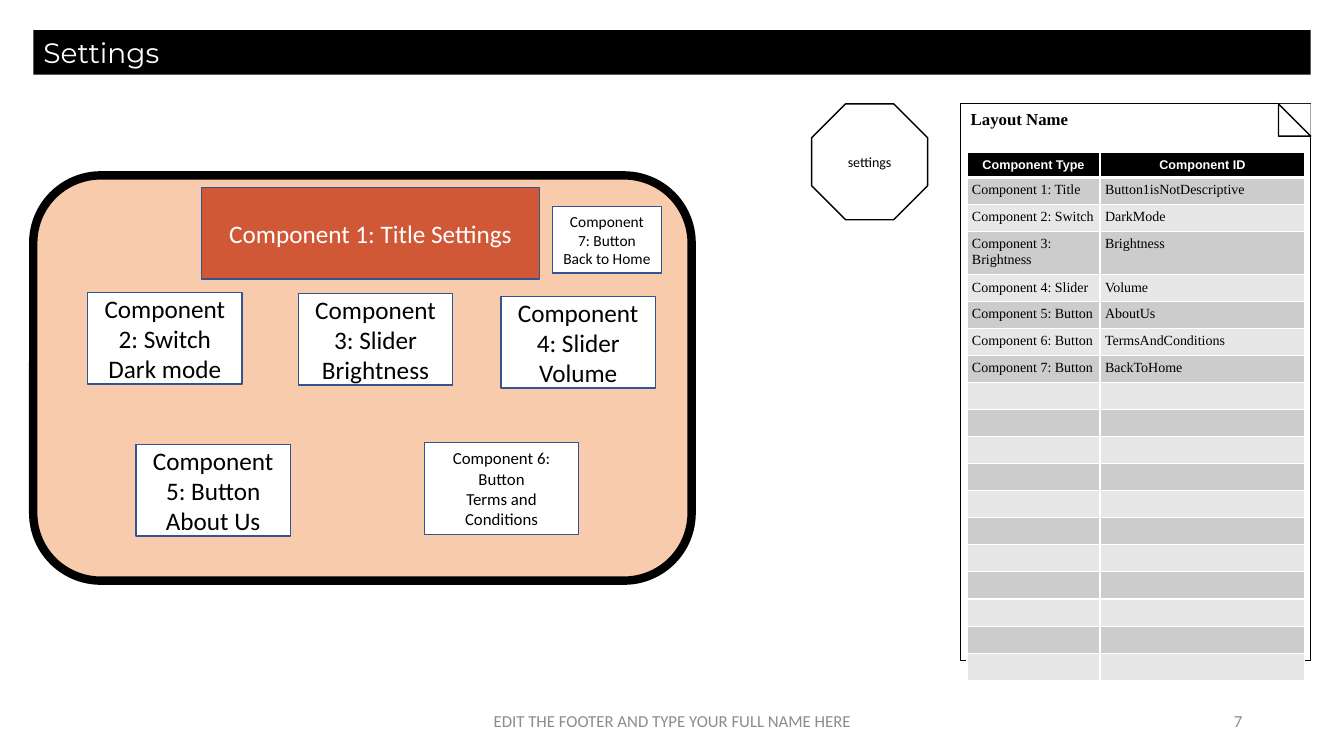
from lxml import etree
from pptx import Presentation
from pptx.dml.color import RGBColor
from pptx.enum.shapes import MSO_SHAPE
from pptx.enum.text import MSO_ANCHOR, MSO_AUTO_SIZE, PP_ALIGN
from pptx.oxml.ns import qn
from pptx.util import Inches, Pt

RECTANGLE = MSO_SHAPE.RECTANGLE
ROUNDED = MSO_SHAPE.ROUNDED_RECTANGLE
OCTAGON = MSO_SHAPE.OCTAGON
FOLD = MSO_SHAPE.RIGHT_TRIANGLE
LEFT, CENTER, RIGHT = PP_ALIGN.LEFT, PP_ALIGN.CENTER, PP_ALIGN.RIGHT
TOP, MIDDLE = MSO_ANCHOR.TOP, MSO_ANCHOR.MIDDLE
NO_AUTOFIT = MSO_AUTO_SIZE.NONE

BLACK = RGBColor(0, 0, 0)
WHITE = RGBColor(255, 255, 255)
GRAY = RGBColor(0x8C, 0x8C, 0x8C)
PEACH = RGBColor(0xF8, 0xCB, 0xAD)
ORANGE = RGBColor(0xD1, 0x58, 0x37)
NAVY = RGBColor(0x32, 0x54, 0x91)
DARK_BAND = RGBColor(0xCC, 0xCC, 0xCC)
LIGHT_BAND = RGBColor(0xE7, 0xE7, 0xE7)

BUTTON_SIZE = (1.53, 0.91)
CONTROLS = [
    ((1.67, 0.12, 3.35, 0.91), ["Component 1: Title Settings"], 18, ORANGE, WHITE),
    ((0.54, 1.16, *BUTTON_SIZE), ["Component 2: Switch\vDark mode"], 18, WHITE, BLACK),
    ((2.63, 1.17, *BUTTON_SIZE), ["Component 3: Slider\vBrightness"], 18, WHITE, BLACK),
    ((4.64, 1.2, *BUTTON_SIZE), ["Component 4: Slider\vVolume"], 18, WHITE, BLACK),
    ((1.02, 2.67, *BUTTON_SIZE), ["Component 5: Button\vAbout Us"], 18, WHITE, BLACK),
    ((3.88, 2.65, *BUTTON_SIZE), ["Component 6: Button", "Terms and\vConditions"], 12, WHITE, BLACK),
    ((5.15, 0.31, 1.08, 0.66), ["Component 7: Button\vBack to Home"], 11, WHITE, BLACK),
]
HEADER = ("Component Type", "Component ID")
COMPONENTS = [
    ("Component 1: Title", "Button1isNotDescriptive"),
    ("Component 2: Switch", "DarkMode"),
    ("Component 3: Brightness", "Brightness"),
    ("Component 4: Slider", "Volume"),
    ("Component 5: Button", "AboutUs"),
    ("Component 6: Button", "TermsAndConditions"),
    ("Component 7: Button", "BackToHome"),
]
EMPTY_ROWS = 11
TALL_ROW = 3


def write(frame, lines, size, color, font="Calibri", align=CENTER, bold=False):
    frame.text = "\n".join(lines)
    for paragraph in frame.paragraphs:
        paragraph.alignment = align
        for run in paragraph.runs:
            run.font.color.rgb = color
            formats = {"name": font, "size": Pt(size), "bold": bold}
            for key, value in formats.items():
                setattr(run.font, key, value)


def set_frame(frame, anchor=MIDDLE, wrap=True):
    formats = {"vertical_anchor": anchor, "word_wrap": wrap, "auto_size": NO_AUTOFIT}
    for key, value in formats.items():
        setattr(frame, key, value)


def add_box(slide, kind, box, fill=None, line=None, width=1):
    shape = slide.shapes.add_shape(kind, *map(Inches, box))
    shape.shadow.inherit = False
    if fill is None:
        shape.fill.background()
    else:
        shape.fill.solid()
        shape.fill.fore_color.rgb = fill
    if line is None:
        shape.line.fill.background()
    else:
        shape.line.color.rgb = line
        shape.line.width = Pt(width)
    set_frame(shape.text_frame)
    return shape


def add_title(slide, box):
    title = slide.shapes.title
    for key, value in zip(("left", "top", "width", "height"), box):
        setattr(title, key, Inches(value))
    title.fill.solid()
    title.fill.fore_color.rgb = BLACK
    set_frame(title.text_frame, TOP)
    write(title.text_frame, ["Settings"], 20, WHITE, "Montserrat", LEFT)
    title.text_frame.paragraphs[0].line_spacing = 1.0


def add_screen(slide, box):
    left, top = box[:2]
    add_box(slide, ROUNDED, box, PEACH, BLACK, 6)
    for (x, y, width, height), lines, size, fill, color in CONTROLS:
        control = add_box(slide, RECTANGLE, (left + x, top + y, width, height), fill, NAVY)
        write(control.text_frame, lines, size, color)


def set_borders(cell, bottom):
    properties = cell._tc.get_or_add_tcPr()
    sides = {"a:lnL": 1, "a:lnR": 1, "a:lnT": 1, "a:lnB": bottom}
    for index, (side, width) in enumerate(sides.items()):
        border = etree.Element(qn(side), w=str(Pt(width)))
        fill = etree.SubElement(border, qn("a:solidFill"))
        etree.SubElement(fill, qn("a:srgbClr"), val=str(WHITE))
        properties.insert(index, border)


def fill_cell(cell, text, row):
    header = row == 0
    cell.fill.solid()
    cell.fill.fore_color.rgb = BLACK if header else DARK_BAND if row % 2 else LIGHT_BAND
    cell.vertical_anchor = MIDDLE if header else TOP
    for side in ("left", "right", "top", "bottom"):
        setattr(cell, f"margin_{side}", Inches(0.05))
    if header:
        write(cell.text_frame, [text], 9, WHITE, "Arial", bold=True)
    elif text:
        write(cell.text_frame, [text], 10, BLACK, "Times New Roman", LEFT)
    else:
        paragraph = cell.text_frame.paragraphs[0]
        etree.SubElement(paragraph._p, qn("a:endParaRPr"), sz="1000")
    set_borders(cell, 3 if header else 1)


def add_component_table(slide, box):
    rows = [HEADER, *COMPONENTS, *[("", "")] * EMPTY_ROWS]
    table = slide.shapes.add_table(len(rows), 2, *map(Inches, box)).table
    table.columns[0].width = Inches(1.32)
    table.columns[1].width = Inches(box[2] - 1.32)
    special = {0: 0.25, TALL_ROW: 0.43}
    regular = (box[3] - sum(special.values())) / (len(rows) - len(special))
    for row, texts in enumerate(rows):
        table.rows[row].height = Inches(special.get(row, regular))
        for column, text in enumerate(texts):
            fill_cell(table.cell(row, column), text, row)


def add_layout_sheet(slide, box):
    left, top, width, height = box
    sheet = add_box(slide, RECTANGLE, box, line=BLACK, width=0.75)
    set_frame(sheet.text_frame, TOP, False)
    write(sheet.text_frame, ["Layout Name"], 12, BLACK, "Times New Roman", LEFT, True)
    fold = 0.32
    corner = (left + width - fold, top, fold, fold)
    add_box(slide, RECTANGLE, corner, WHITE)
    add_box(slide, FOLD, corner, WHITE, BLACK)
    add_component_table(slide, (left + 0.06, top + 0.48, 3.35, 5.22))


def add_state(slide, box):
    state = add_box(slide, OCTAGON, box, line=BLACK)
    write(state.text_frame, ["settings"], 10, BLACK)


def add_footer(slide, box):
    left, top, width, height = box
    parts = [
        (left, 4.5, "EDIT THE FOOTER AND TYPE YOUR FULL NAME HERE", CENTER),
        (left + width - 3, 3, "7", RIGHT),
    ]
    for x, part_width, text, align in parts:
        part = slide.shapes.add_textbox(*map(Inches, (x, top, part_width, height)))
        set_frame(part.text_frame)
        write(part.text_frame, [text], 12, GRAY, align=align)


presentation = Presentation()
presentation.slide_width = Inches(13.33)
presentation.slide_height = Inches(7.5)
slide = presentation.slides.add_slide(presentation.slide_layouts[5])
add_title(slide, (0.33, 0.3, 12.67, 0.44))
add_state(slide, (8.05, 1.03, 1.15, 1.15))
add_footer(slide, (4.42, 6.95, 8, 0.4))
add_layout_sheet(slide, (9.53, 1.03, 3.47, 5.52))
add_screen(slide, (0.33, 1.74, 6.53, 4.02))
presentation.save("out.pptx")
